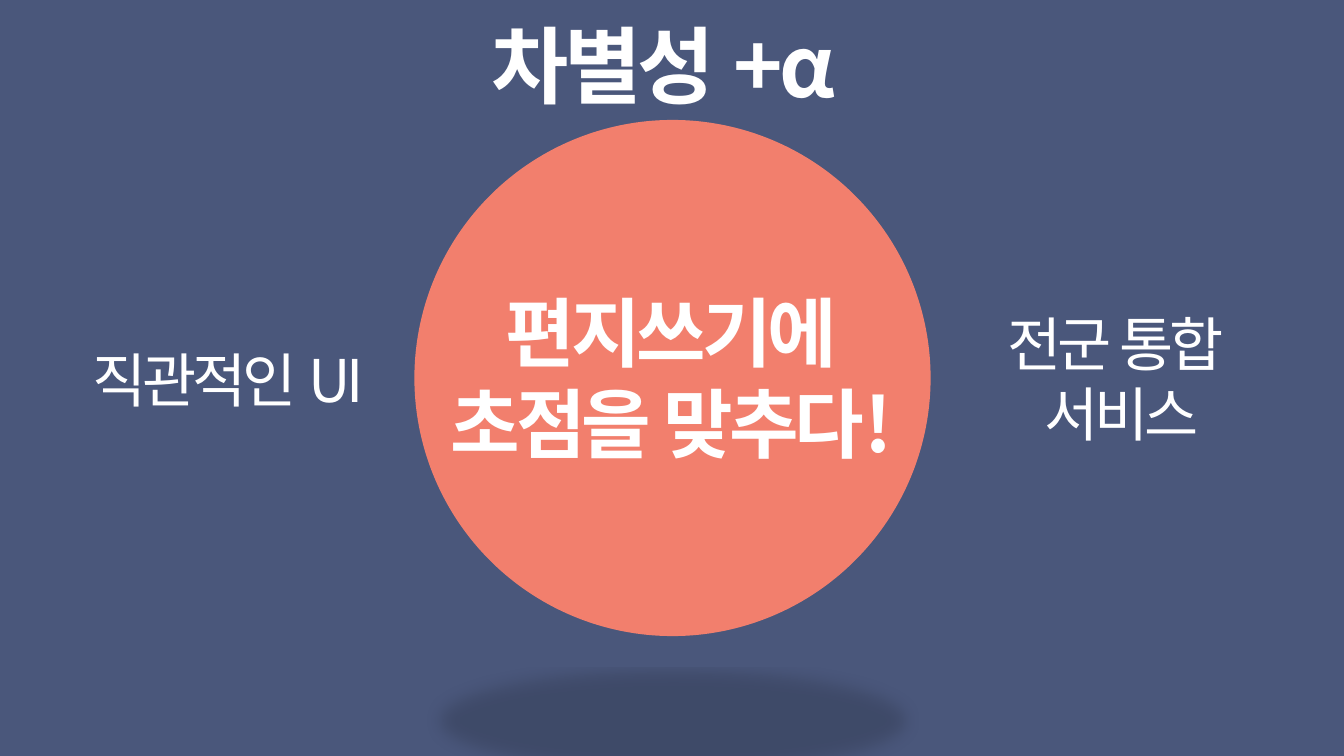
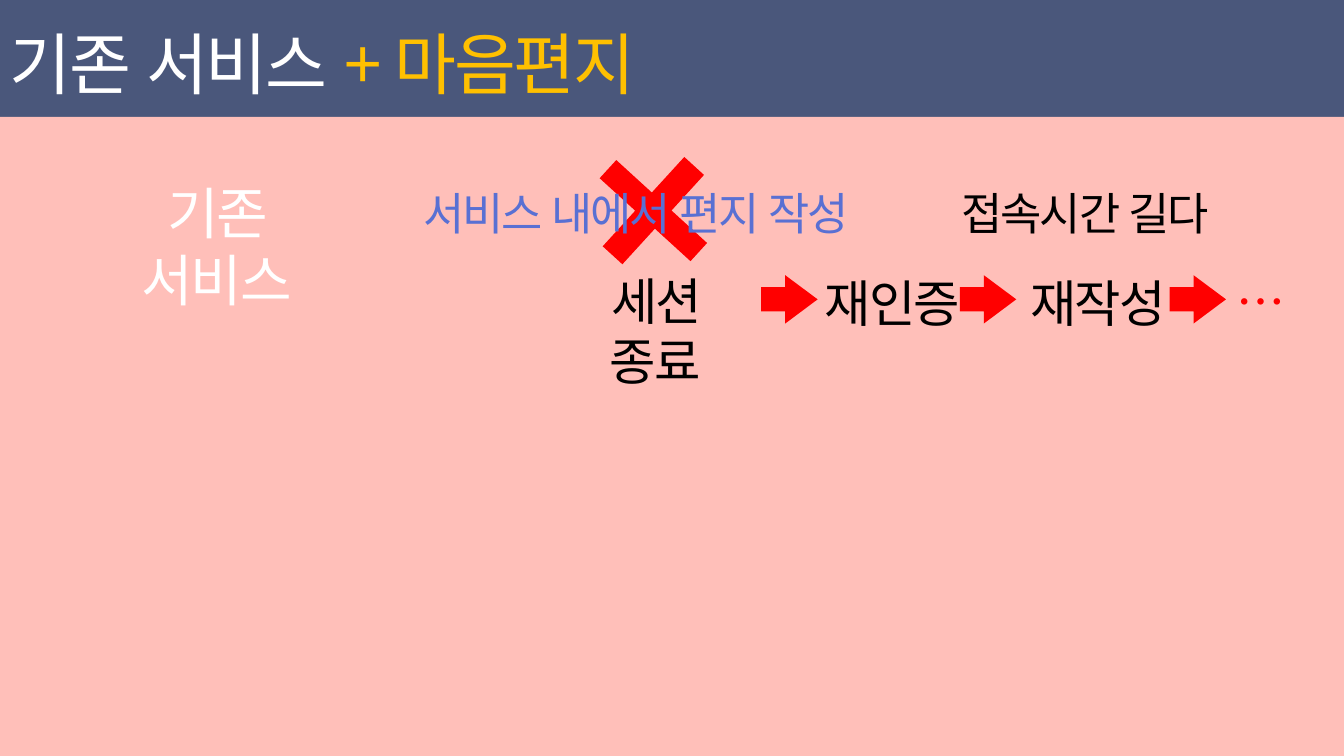
"""Build two slides that compare a letter-writing service with the existing one."""
from dataclasses import dataclass

from pptx import Presentation
from pptx import util as u
from pptx.dml.color import RGBColor
from pptx.enum import lang, shapes, text
from pptx.oxml import parse_xml
from pptx.oxml.ns import nsdecls
from pptx.oxml.xmlchemy import OxmlElement


@dataclass(frozen=True)
class Theme:
    """Colours, font and type sizes of the deck."""

    font: str = "Noto Sans CJK KR"
    navy: str = "4A577B"
    coral: str = "F27F6D"
    pink: str = "FFBFB9"
    white: str = "FFFFFF"
    black: str = "000000"
    red: str = "FF0000"
    amber: str = "FFC000"
    blue: str = "5970D3"
    headline: int = 60
    focus: int = 54
    title: int = 48
    side: int = 42
    label: int = 40
    step: int = 36
    dots: int = 35
    note: int = 32
    loose: float = -1.5
    tight: float = -3


THEME = Theme()
CENTER = text.PP_ALIGN.CENTER


def apply(target, values):
    """Set each named attribute on the target."""
    for name, value in values.items():
        setattr(target, name, value)


def add_page(deck, color):
    """Add a blank page with a plain background."""
    page = deck.slides.add_slide(deck.slide_layouts[6])
    page.background.fill.solid()
    page.background.fill.fore_color.rgb = RGBColor.from_string(color)
    return page


def add_span(para, words, size, color, bold, spacing):
    """Add one formatted run in the deck font."""
    span = para.add_run()
    span.text = words
    apply(span.font, {"name": THEME.font, "size": u.Pt(size), "bold": bold,
                      "language_id": lang.MSO_LANGUAGE_ID.KOREAN})
    span.font.color.rgb = RGBColor.from_string(color)
    properties = span.font._element
    properties.set("spc", str(int(spacing * 100)))
    east_asian = OxmlElement("a:ea")
    east_asian.set("typeface", THEME.font)
    properties.append(east_asian)


def add_text(page, at, lines, size, spacing=THEME.loose, bold=False, align=CENTER):
    """Add a text box; each line is a list of (words, color) spans."""
    frame = page.shapes.add_textbox(*map(u.Inches, at)).text_frame
    apply(frame, {"word_wrap": True,
                  "auto_size": text.MSO_AUTO_SIZE.SHAPE_TO_FIT_TEXT})
    for index, spans in enumerate(lines):
        para = frame.add_paragraph() if index else frame.paragraphs[0]
        para.alignment = align
        for words, color in spans:
            add_span(para, words, size, color, bold, spacing)


def add_figure(page, kind, at, color, adjustments=(), rotation=0):
    """Add a plain filled shape without outline or shadow."""
    figure = page.shapes.add_shape(kind, *map(u.Inches, at))
    figure.shadow.inherit = False
    figure.fill.solid()
    figure.fill.fore_color.rgb = RGBColor.from_string(color)
    figure.line.fill.background()
    figure.rotation = rotation
    for index, value in enumerate(adjustments):
        figure.adjustments[index] = value
    return figure


def add_floor_shadow(figure):
    """Give the figure a flattened soft shadow below it."""
    properties = figure._element.spPr
    properties.remove(properties.find("{*}effectLst"))
    properties.append(parse_xml(
        f'<a:effectLst {nsdecls("a")}>'
        f'<a:outerShdw blurRad="{u.Pt(12)}" dist="{u.Pt(25)}" dir="5400000" '
        'sx="90000" sy="-19000" rotWithShape="0">'
        f'<a:srgbClr val="{THEME.black}"><a:alpha val="15000"/></a:srgbClr>'
        '</a:outerShdw></a:effectLst>'))


def build_difference(deck):
    """Show the central promise between two side benefits."""
    page = add_page(deck, THEME.white)
    white = THEME.white
    for left in (-3.87, 4.99):
        add_figure(page, shapes.MSO_SHAPE.OVAL, (left, -2.15, 12.3, 11.81),
                   THEME.navy)
    for at, lines in (
        ((0.06, 3.36, 4.41, 0.81), ["직관적인 UI"]),
        ((8.92, 3, 4.41, 1.51), ["전군 통합 ", "서비스"]),
    ):
        add_text(page, at, [[(line, white)] for line in lines],
                 THEME.side, THEME.tight)
    add_text(page, (4.29, 0.08, 4.72, 1.11), [[("차별성 +α ", white)]],
             THEME.headline, THEME.tight, True)
    circle = add_figure(page, shapes.MSO_SHAPE.OVAL, (4.11, 1.19, 5.12, 5.12),
                        THEME.coral)
    add_floor_shadow(circle)
    add_text(page, (4.3, 2.79, 4.72, 1.92),
             [[("편지쓰기에", white)], [("초점을 맞추다!", white)]],
             THEME.focus, THEME.tight, True)


def build_comparison(deck):
    """Show how the existing service breaks off a letter."""
    page = add_page(deck, THEME.navy)
    add_figure(page, shapes.MSO_SHAPE.RECTANGLE, (0, 1.16, 13.33, 6.34), THEME.pink)
    add_text(page, (0, 0.17, 7, 0.91),
             [[("기존 서비스 ", THEME.white), ("+ 마음편지", THEME.amber)]],
             THEME.title, align=text.PP_ALIGN.LEFT)
    add_figure(page, shapes.MSO_SHAPE.CROSS, (5.87, 1.49, 1.22, 1.2), THEME.red,
               [0.398], 42.4)
    for left in (7.55, 9.52, 11.6):
        add_figure(page, shapes.MSO_SHAPE.RIGHT_ARROW, (left, 2.73, 0.56, 0.48),
                   THEME.red, [0.5, 0.671])
    for words, at, size, color in (
        ("기존 서비스", (0.95, 1.72, 2.4, 1.44), THEME.label, THEME.white),
        ("서비스 내에서 편지 작성", (3.87, 1.79, 4.88, 0.64), THEME.note, THEME.blue),
        ("접속시간 길다", (9.24, 1.79, 3.05, 0.64), THEME.note, THEME.black),
        ("세션 종료", (5.65, 2.63, 1.7, 1.31), THEME.step, THEME.black),
        ("재인증", (7.9, 2.65, 1.9, 0.71), THEME.step, THEME.black),
        ("재작성", (9.94, 2.65, 1.9, 0.71), THEME.step, THEME.black),
        ("…", (11.94, 2.64, 1.14, 0.68), THEME.dots, THEME.red),
    ):
        add_text(page, at, [[(words, color)]], size)


def main():
    """Build and save the deck."""
    deck = Presentation()
    apply(deck, {"slide_width": u.Inches(13.33), "slide_height": u.Inches(7.5)})
    build_difference(deck)
    build_comparison(deck)
    deck.save("out.pptx")


if __name__ == "__main__":
    main()
